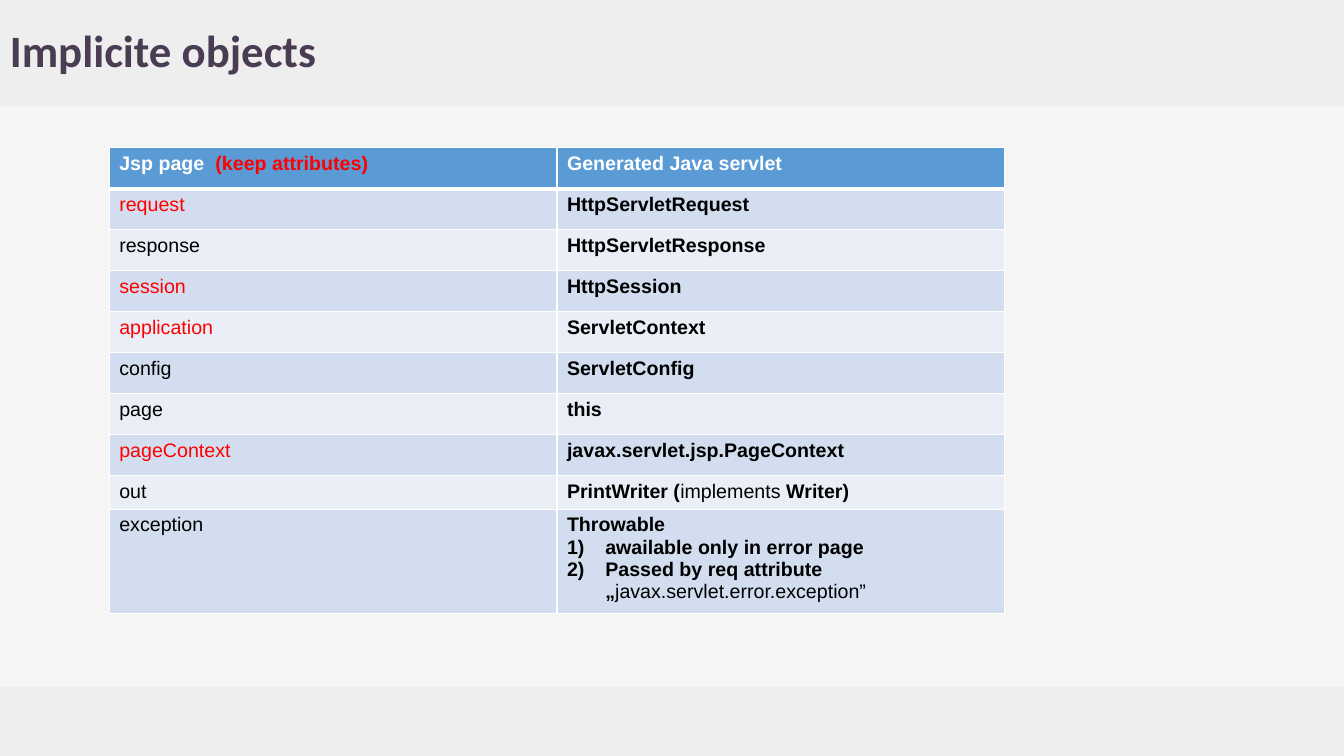
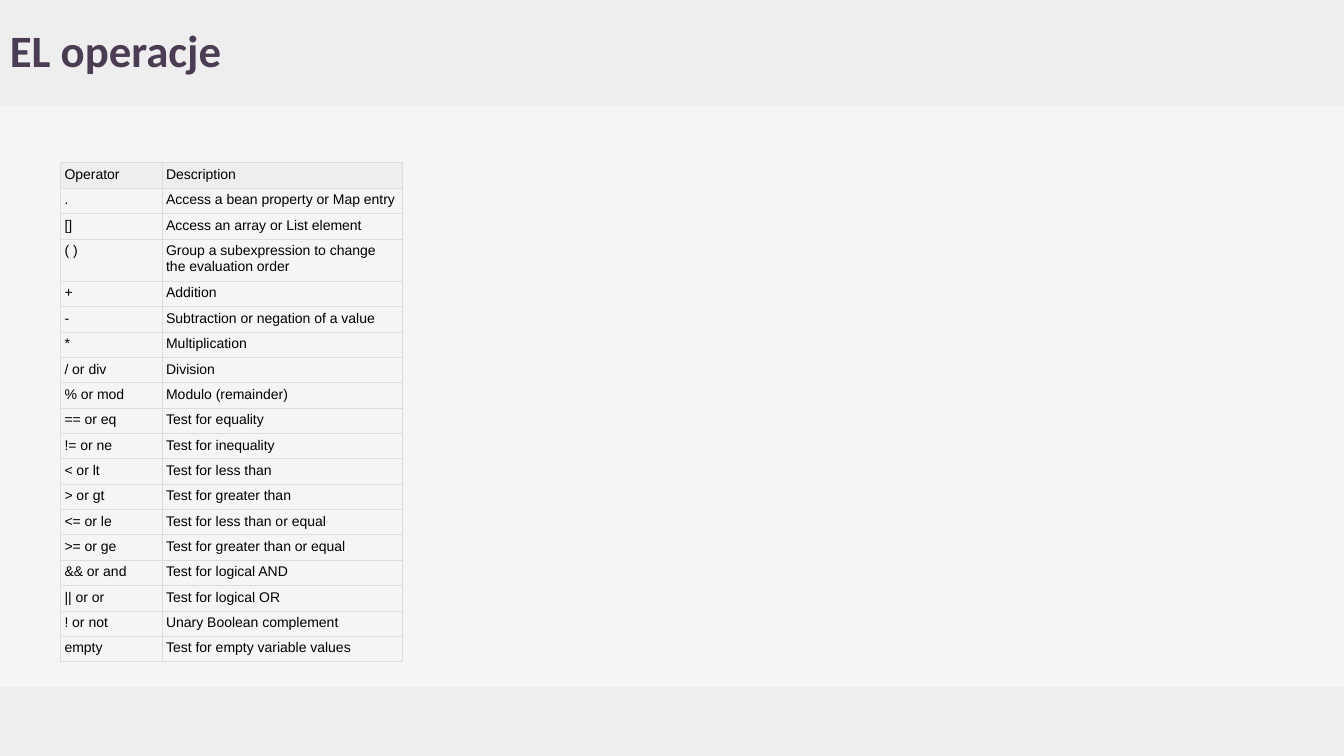
from dataclasses import dataclass
from typing import NamedTuple

from lxml import etree
from pptx import Presentation
from pptx import util as u
from pptx.dml.color import RGBColor
from pptx.enum import shapes, text
from pptx.oxml import ns


# Theme: colours, fonts, type sizes
@dataclass(frozen=True)
class Theme:
    page: str = "F5F5F5"
    band: str = "EEEEEE"
    title: str = "4A3D53"
    ink: str = "000000"
    white: str = "FFFFFF"
    red: str = "FF0000"
    header: str = "5B9BD5"
    stripes: tuple[str, str] = ("D2DEEF", "EAEFF7")
    rule: str = "DDDDDD"
    head_font: str = "Calibri"
    body_font: str = "Arial"
    title_size: float = 32
    object_size: float = 14
    operator_size: float = 10


T = Theme()

# Grid: 160 columns by 90 rows
WIDTH, HEIGHT = u.Inches(13.33), u.Inches(7.5)
COLS, ROWS = 160, 90


def gx(cols: float) -> int:
    return round(WIDTH * cols / COLS)


def gy(rows: float) -> int:
    return round(HEIGHT * rows / ROWS)


class Box(NamedTuple):
    left: float
    top: float
    width: float
    height: float

    def emu(self) -> tuple[int, int, int, int]:
        return gx(self.left), gy(self.top), gx(self.width), gy(self.height)


class Run(NamedTuple):
    text: str
    color: str = T.ink
    bold: bool = False


class Para(NamedTuple):
    runs: list[Run]
    numbered: bool = False


class Cell(NamedTuple):
    paras: list[Para]
    fill: str | None = None


@dataclass(frozen=True)
class TableStyle:
    size: float
    border: str
    border_pt: float
    header_rule_pt: float
    margins: dict[str, int]


HEADER_BAND = Box(0, 0, COLS, 12.6)
FOOTER_BAND = Box(0, 81.8, COLS, 8.2)
TITLE_BOX = Box(0, 0, 142.9, 12.6)
NUMBER_INDENT = u.Inches(0.38)


# Helpers
def set_all(target, values: dict) -> None:
    for name, value in values.items():
        setattr(target, name, value)


def add_run(p, run: Run, font: str, size: float) -> None:
    r = p.add_run()
    r.text = run.text
    set_all(r.font, {"name": font, "size": u.Pt(size), "bold": run.bold})
    r.font.color.rgb = RGBColor.from_string(run.color)


def number(p) -> None:
    pPr = p._p.get_or_add_pPr()
    pPr.set("marL", str(NUMBER_INDENT))
    pPr.set("indent", str(-NUMBER_INDENT))
    etree.SubElement(pPr, ns.qn("a:buFont"), typeface="+mj-lt")
    etree.SubElement(pPr, ns.qn("a:buAutoNum"), type="arabicParenR")


def add_borders(cell, style: TableStyle, top_pt: float, bottom_pt: float) -> None:
    tcPr = cell._tc.get_or_add_tcPr()
    widths = {"lnL": style.border_pt, "lnR": style.border_pt,
              "lnT": top_pt, "lnB": bottom_pt}
    for i, (side, pt) in enumerate(widths.items()):
        ln = etree.Element(ns.qn(f"a:{side}"), w=str(u.Pt(pt)))
        fill = etree.SubElement(ln, ns.qn("a:solidFill"))
        etree.SubElement(fill, ns.qn("a:srgbClr"), val=style.border)
        tcPr.insert(i, ln)


def add_band(s, box: Box) -> None:
    sp = s.shapes.add_shape(shapes.MSO_SHAPE.RECTANGLE, *box.emu())
    sp.shadow.inherit = False
    sp.fill.solid()
    sp.fill.fore_color.rgb = RGBColor.from_string(T.band)
    sp.line.fill.background()


def add_slide(prs, title: str):
    s = prs.slides.add_slide(prs.slide_layouts[6])
    for band in (FOOTER_BAND, HEADER_BAND):
        add_band(s, band)
    tf = s.shapes.add_textbox(*TITLE_BOX.emu()).text_frame
    sides = ("left", "top", "right", "bottom")
    set_all(tf, {"word_wrap": True, "vertical_anchor": text.MSO_ANCHOR.MIDDLE}
            | {f"margin_{side}": u.Inches(0.1) for side in sides})
    p = tf.paragraphs[0]
    p.line_spacing = 0.9
    add_run(p, Run(title, T.title, True), T.head_font, T.title_size)
    return s


def fill_cell(cell, content: Cell, style: TableStyle) -> None:
    set_all(cell, style.margins)
    if content.fill:
        cell.fill.solid()
        cell.fill.fore_color.rgb = RGBColor.from_string(content.fill)
    else:
        cell.fill.background()
    tf = cell.text_frame
    for i, para in enumerate(content.paras):
        p = tf.add_paragraph() if i else tf.paragraphs[0]
        if para.numbered:
            number(p)
        for run in para.runs:
            add_run(p, run, T.body_font, style.size)


def add_table(s, left: float, top: float, widths: list[float],
              heights: list[float], rows: list[list[Cell]],
              style: TableStyle) -> None:
    box = Box(left, top, sum(widths), sum(heights))
    table = s.shapes.add_table(len(rows), len(widths), *box.emu()).table
    set_all(table, {"first_row": False, "horz_banding": False})
    for column, width in zip(table.columns, widths):
        column.width = gx(width)
    for row, height in zip(table.rows, heights):
        row.height = gy(height)
    for i, row in enumerate(rows):
        top_pt = style.header_rule_pt if i == 1 else style.border_pt
        bottom_pt = style.header_rule_pt if i == 0 else style.border_pt
        for j, content in enumerate(row):
            cell = table.cell(i, j)
            fill_cell(cell, content, style)
            add_borders(cell, style, top_pt, bottom_pt)


# Implicit objects: name, keeps attributes, servlet type
def bold(value: str) -> Run:
    return Run(value, bold=True)


OBJECTS = [
    ("request", True, [Para([bold("HttpServletRequest")])]),
    ("response", False, [Para([bold("HttpServletResponse")])]),
    ("session", True, [Para([bold("HttpSession")])]),
    ("application", True, [Para([bold("ServletContext")])]),
    ("config", False, [Para([bold("ServletConfig")])]),
    ("page", False, [Para([bold("this")])]),
    ("pageContext", True, [Para([bold("javax.servlet.jsp.PageContext")])]),
    ("out", False, [Para([bold("PrintWriter ("), Run("implements"),
                          bold(" Writer)")])]),
    ("exception", False, [
        Para([bold("Throwable")]),
        Para([bold("awailable only in error page")], True),
        Para([bold("Passed by req attribute „"),
              Run("javax.servlet.error.exception”")], True),
    ]),
]
OBJECT_STYLE = TableStyle(T.object_size, T.white, 1, 3, {})


def objects_slide(prs) -> None:
    s = add_slide(prs, "Implicite objects")
    rows = [[
        Cell([Para([Run("Jsp page\u00a0 ".replace("\u00a0", " "), T.white, True),
                    Run("(keep attributes)", T.red, True)])], T.header),
        Cell([Para([Run("Generated Java servlet", T.white, True)])], T.header),
    ]]
    for i, (name, keeps, servlet) in enumerate(OBJECTS):
        stripe = T.stripes[i % 2]
        label = Run(name, T.red if keeps else T.ink)
        rows.append([Cell([Para([label])], stripe), Cell(servlet, stripe)])
    heights = [4.88] * (len(rows) - 2) + [3.8, 11.7]
    add_table(s, 13, 17.6, [53.3] * 2, heights, rows, OBJECT_STYLE)


# Expression language operators
OPERATORS = [
    ("Operator", "Description"),
    (".", "Access a bean property or Map entry"),
    ("[]", "Access an array or List element"),
    ("( )", "Group a subexpression to change the evaluation order"),
    ("+", "Addition"),
    ("-", "Subtraction or negation of a value"),
    ("*", "Multiplication"),
    ("/ or div", "Division"),
    ("% or mod", "Modulo (remainder)"),
    ("== or eq", "Test for equality"),
    ("!= or ne", "Test for inequality"),
    ("< or lt", "Test for less than"),
    ("> or gt", "Test for greater than"),
    ("<= or le", "Test for less than or equal"),
    (">= or ge", "Test for greater than or equal"),
    ("&& or and", "Test for logical AND"),
    ("|| or or", "Test for logical OR"),
    ("! or not", "Unary Boolean complement"),
    ("empty", "Test for empty variable values"),
]
TWO_LINE_ROW = 3
OPERATOR_STYLE = TableStyle(
    T.operator_size, T.rule, 0.75, 0.75,
    {f"margin_{side}": u.Inches(0.04)
     for side in ("left", "top", "right", "bottom")})


def operators_slide(prs) -> None:
    s = add_slide(prs, "EL operacje")
    rows = [[Cell([Para([Run(value)])], None if i else T.band) for value in row]
            for i, row in enumerate(OPERATORS)]
    heights = [5.04 if i == TWO_LINE_ROW else 3.02 for i in range(len(rows))]
    add_table(s, 7.2, 19.4, [12.1, 28.6], heights, rows, OPERATOR_STYLE)


def main() -> None:
    prs = Presentation()
    set_all(prs, {"slide_width": WIDTH, "slide_height": HEIGHT})
    background = prs.slide_master.background.fill
    background.solid()
    background.fore_color.rgb = RGBColor.from_string(T.page)
    objects_slide(prs)
    operators_slide(prs)
    prs.save("out.pptx")


if __name__ == "__main__":
    main()
